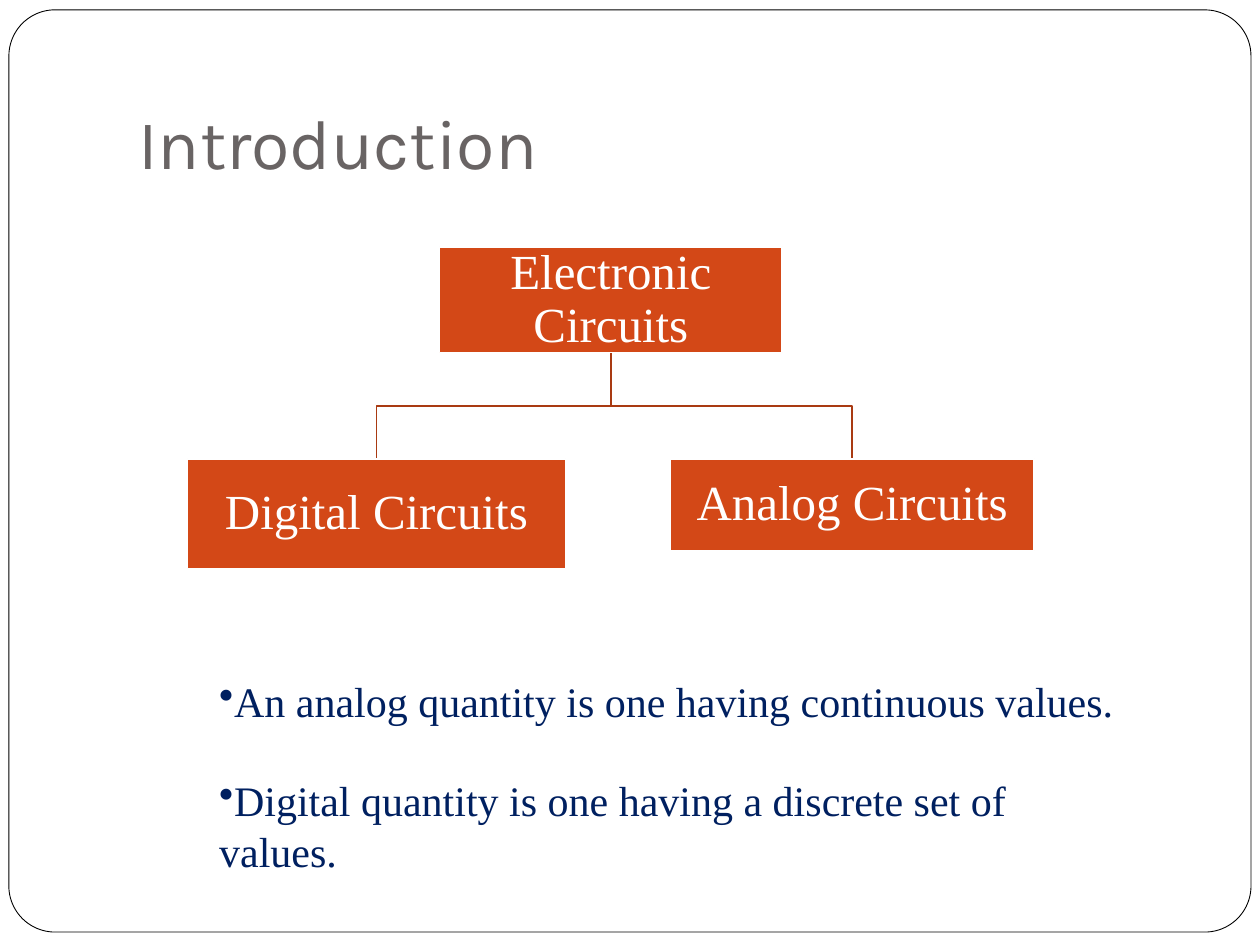
import pptx
import pptx.util
import pptx.dml.color
import pptx.enum.shapes
import pptx.enum.text
from dataclasses import dataclass
from lxml import etree

Cm, Pt = pptx.util.Cm, pptx.util.Pt
Anchor = pptx.enum.text.MSO_ANCHOR
Shape = pptx.enum.shapes.MSO_SHAPE


@dataclass
class Theme:
    paper: str = "FFFFFF"
    ink: str = "000000"
    title: str = "696464"
    node: str = "D34817"
    branch: str = "A93A12"
    note: str = "002060"
    title_font: str = "Karla"
    body_font: str = "Times New Roman"
    title_size: int = 40
    node_size: int = 28
    note_size: int = 24


def rgb(code):
    return pptx.dml.color.RGBColor.from_string(code)


class PageBuilder:
    def __init__(self, page, theme):
        self.page = page
        self.theme = theme

    def style(self, para, font, size, color):
        para.font.name = font
        para.font.size = Pt(size)
        para.font.color.rgb = rgb(color)

    def outline(self, shape, color, width):
        shape.shadow.inherit = False
        shape.line.color.rgb = rgb(color)
        shape.line.width = Pt(width)

    def panel(self, kind, area, fill, line, width):
        shape = self.page.shapes.add_shape(kind, *map(Cm, area))
        shape.fill.solid()
        shape.fill.fore_color.rgb = rgb(fill)
        self.outline(shape, line, width)
        return shape

    def frame(self, area):
        shape = self.panel(Shape.ROUNDED_RECTANGLE, area, self.theme.paper, self.theme.ink, 0.5)
        shape.adjustments[0] = 0.05

    def title(self, area, text):
        frame = self.page.shapes.add_textbox(*map(Cm, area)).text_frame
        frame.word_wrap = True
        frame.vertical_anchor = Anchor.BOTTOM
        frame.margin_bottom = Cm(0.25)
        para = frame.paragraphs[0]
        para.text = text
        self.style(para, self.theme.title_font, self.theme.title_size, self.theme.title)

    def node(self, area, text):
        shape = self.panel(Shape.RECTANGLE, area, self.theme.node, self.theme.paper, 1)
        frame = shape.text_frame
        frame.word_wrap = True
        frame.vertical_anchor = Anchor.MIDDLE
        frame.margin_left = frame.margin_right = Cm(0.05)
        frame.margin_top = frame.margin_bottom = Cm(0.05)
        para = frame.paragraphs[0]
        para.text = text
        para.alignment = pptx.enum.text.PP_ALIGN.CENTER
        para.line_spacing = 0.9
        self.style(para, self.theme.body_font, self.theme.node_size, self.theme.paper)

    def branch(self, parent, child):
        """Draw an elbow from the bottom of the parent to the top of the child."""
        left, top, width, height = parent
        start_x, start_y = left + width / 2, top + height
        end_x, end_y = child[0] + child[2] / 2, child[1]
        middle = (start_y + end_y) / 2
        builder = self.page.shapes.build_freeform(Cm(start_x), Cm(start_y))
        corners = [(start_x, middle), (end_x, middle), (end_x, end_y)]
        builder.add_line_segments([(Cm(x), Cm(y)) for x, y in corners], close=False)
        shape = builder.convert_to_shape()
        shape.fill.background()
        self.outline(shape, self.theme.branch, 1)

    def bullets(self, area, texts, gap):
        frame = self.page.shapes.add_textbox(*map(Cm, area)).text_frame
        frame.word_wrap = True
        for index, text in enumerate(texts):
            para = frame.add_paragraph() if index else frame.paragraphs[0]
            para.text = text
            if index:
                para.space_before = Pt(gap)
            properties = para._p.get_or_add_pPr()
            bullet = etree.SubElement(properties, pptx.oxml.ns.qn("a:buChar"))
            bullet.set("char", "•")
            self.style(para, self.theme.body_font, self.theme.note_size, self.theme.note)


def main():
    deck = pptx.Presentation()
    deck.slide_width, deck.slide_height = Cm(25.4), Cm(19.05)
    builder = PageBuilder(deck.slides.add_slide(deck.slide_layouts[6]), Theme())

    # Page frame and title
    builder.frame((0.18, 0.2, 25.04, 18.59))
    builder.title((2.54, 0.76, 21.59, 3.18), "Introduction")

    # Circuit tree: branches lie behind the nodes
    root = (8.86, 4.98, 6.91, 2.13)
    children = {
        "Digital Circuits": (3.78, 9.25, 7.62, 2.21),
        "Analog Circuits": (13.51, 9.25, 7.34, 1.85),
    }
    for area in children.values():
        builder.branch(root, area)
    builder.node(root, "Electronic Circuits")
    for text, area in children.items():
        builder.node(area, text)

    # Definitions
    builder.bullets((4.17, 13.49, 18.64, 4.37), [
        "An analog quantity is one having continuous values.",
        "Digital quantity is one having a discrete set of values.",
    ], gap=28)

    deck.save("out.pptx")


if __name__ == "__main__":
    main()
